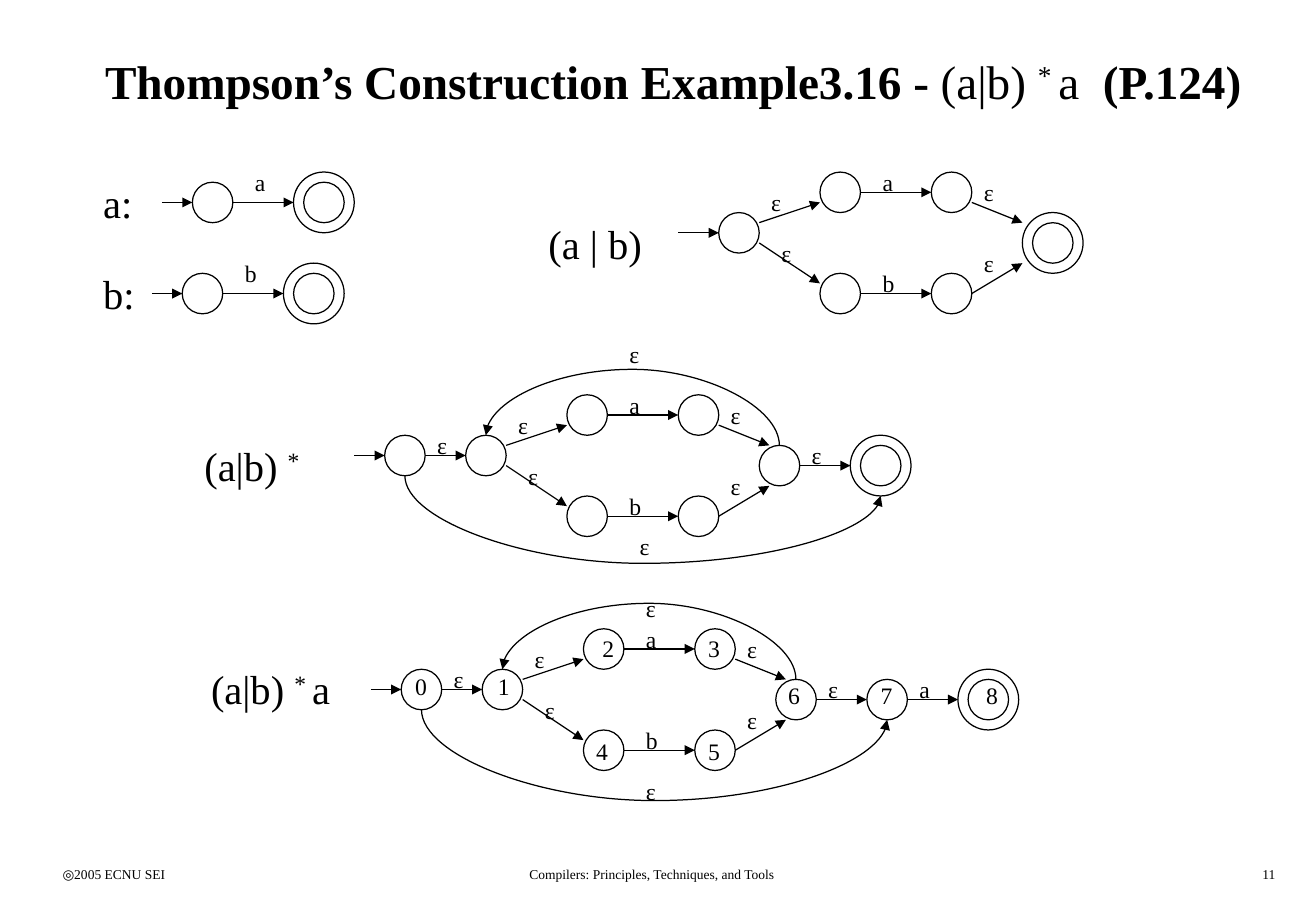
from dataclasses import dataclass

from lxml import etree
from pptx import Presentation
from pptx.dml.color import RGBColor
from pptx.enum.shapes import MSO_CONNECTOR, MSO_SHAPE
from pptx.enum.text import MSO_ANCHOR, PP_ALIGN
from pptx.oxml.ns import qn
from pptx.util import Pt

OVAL = MSO_SHAPE.OVAL
STRAIGHT, CURVE = MSO_CONNECTOR.STRAIGHT, MSO_CONNECTOR.CURVE
TOP, MIDDLE = MSO_ANCHOR.TOP, MSO_ANCHOR.MIDDLE
LEFT, CENTER, RIGHT = PP_ALIGN.LEFT, PP_ALIGN.CENTER, PP_ALIGN.RIGHT

STATE = 24        # diameter of a state
ACCEPT = 36       # outer diameter of an accepting state
SUPERSCRIPT = "30000"


@dataclass(frozen=True)
class Theme:
    font: str = "Times New Roman"
    ink: RGBColor = RGBColor(0, 0, 0)
    title_size: float = 28
    expression_size: float = 24
    label_size: float = 14
    footer_size: float = 8
    line_width: float = 0.75


class AutomatonSlide:
    def __init__(self, slide, theme):
        self.slide = slide
        self.theme = theme

    # Text: each run is (text, bold, superscript)
    def text(self, left, top, width, height, runs, size,
             align=LEFT, anchor=TOP, wrap=True):
        box = self.slide.shapes.add_textbox(Pt(left), Pt(top), Pt(width), Pt(height))
        frame = box.text_frame
        frame.word_wrap = wrap
        frame.vertical_anchor = anchor
        paragraph = frame.paragraphs[0]
        paragraph.alignment = align
        for content, bold, superscript in runs:
            run = paragraph.add_run()
            run.text = content
            font = run.font
            font.name, font.size, font.bold = self.theme.font, Pt(size), bold
            font.color.rgb = self.theme.ink
            if superscript:
                run._r.get_or_add_rPr().set("baseline", SUPERSCRIPT)

    def label(self, left, top, content):
        self.text(left, top, 21, 24, [(content, False, False)],
                  self.theme.label_size, wrap=False)

    def expression(self, left, top, width, *parts):
        runs = [(part, False, part.startswith("*")) for part in parts]
        self.text(left, top, width, 36, runs, self.theme.expression_size, wrap=False)

    # States
    def state(self, left, top, diameter=STATE):
        shape = self.slide.shapes.add_shape(
            OVAL, Pt(left), Pt(top), Pt(diameter), Pt(diameter))
        shape.shadow.inherit = False
        shape.fill.background()
        shape.line.color.rgb = self.theme.ink
        shape.line.width = Pt(self.theme.line_width)

    def accepting_state(self, left, top):
        inset = (ACCEPT - STATE) / 2
        self.state(left, top, ACCEPT)
        self.state(left + inset, top + inset)

    # Transitions
    def connector(self, kind, x1, y1, x2, y2):
        connector = self.slide.shapes.add_connector(kind, Pt(x1), Pt(y1), Pt(x2), Pt(y2))
        connector.line.color.rgb = self.theme.ink
        connector.line.width = Pt(self.theme.line_width)
        properties = connector.element.spPr
        etree.SubElement(properties.find(qn("a:ln")), qn("a:tailEnd"), type="triangle")
        etree.SubElement(properties, qn("a:effectLst"))
        return properties

    def arrow(self, x1, y1, x2, y2):
        self.connector(STRAIGHT, x1, y1, x2, y2)

    def arc(self, x1, y1, x2, y2, bend):
        """U-shaped arrow whose turning height is bend: a quarter-turned curve."""
        half_width, half_height = abs(y2 - y1) / 2, abs(x2 - x1) / 2
        middle_x, middle_y = (x1 + x2) / 2, (y1 + y2) / 2
        properties = self.connector(CURVE, middle_x - half_width, middle_y - half_height,
                                    middle_x + half_width, middle_y + half_height)
        transform = properties.find(qn("a:xfrm"))
        transform.set("rot", str((90 if x2 < x1 else 270) * 60000))
        transform.set("flipH", "1")
        adjustment = round((bend - y1) / (y2 - y1) * 100000)
        guides = properties.find(qn("a:prstGeom")).find(qn("a:avLst"))
        etree.SubElement(guides, qn("a:gd"), name="adj1", fmla=f"val {adjustment}")

    # Automata, placed by the corner of their first inner state
    def symbol(self, x, y, character):
        self.state(x, y)
        self.accepting_state(x + 60, y - 6)
        self.arrow(x - 18, y + 12, x, y + 12)
        self.arrow(x + 24, y + 12, x + 60, y + 12)
        self.label(x + 30, y - 12, character)

    def union(self, x, y):
        self.state(x, y)
        self.arrow(x - 24, y + 12, x, y + 12)
        for row, character in ((y - 24, "a"), (y + 36, "b")):
            self.state(x + 60, row)
            self.state(x + 126, row)
            self.arrow(x + 84, row + 12, x + 126, row + 12)
            self.label(x + 90, row - 6, character)
        for x1, y1, x2, y2 in ((24, 6, 60, -6), (24, 18, 60, 42),
                               (150, -6, 180, 6), (150, 48, 180, 30)):
            self.arrow(x + x1, y + y1, x + x2, y + y2)
        for dx, dy in ((24, -18), (30, 12), (150, -24), (150, 18)):
            self.label(x + dx, y + dy, "ε")

    def closure(self, x, y, top_label, bottom_label, skip_end, skip_bend):
        self.union(x, y)
        self.state(x - 48, y)
        self.state(x + 174, y + 6)
        self.arrow(x - 66, y + 12, x - 48, y + 12)
        self.arrow(x + 198, y + 18, x + 228, y + 18)
        for dx, dy in ((-24, -6), (198, 0), top_label, bottom_label):
            self.label(x + dx, y + dy, "ε")
        self.arc(x + 186, y + 6, x + 12, y, y - 39)
        self.arc(x - 36, y + 24, x + skip_end[0], y + skip_end[1], y + skip_bend)


def main():
    presentation = Presentation()
    presentation.slide_width, presentation.slide_height = Pt(780), Pt(540)
    slide = presentation.slides.add_slide(presentation.slide_layouts[6])
    theme = Theme()
    page = AutomatonSlide(slide, theme)

    # Title
    page.text(30, 12, 738, 72, [
        ("Thompson’s Construction Example3.16 - ", True, False),
        ("(a|b) ", False, False), ("* ", False, True),
        ("a ", False, False), (" (P.124)", True, False),
    ], theme.title_size, CENTER, MIDDLE)

    # Single symbols
    page.expression(54, 102, 32, "a:")
    page.symbol(114, 108, "a")
    page.expression(54, 156, 33, "b:")
    page.symbol(108, 162, "b")

    # Union
    page.expression(318, 126, 70, "(a | b)")
    page.union(426, 126)
    page.accepting_state(606, 126)

    # Closure
    page.expression(114, 258, 75.6, "(a|b) ", "*")
    page.closure(276, 258, (90, -60), (96, 54), (246, 36), 76)
    page.accepting_state(504, 258)

    # Closure followed by a
    x, y = 285.8, 396.7
    page.expression(118, 390.2, 90.7, "(a|b) ", "* ", "a")
    page.closure(x, y, (90, -48), (90, 60), (240, 30), 77.8)
    page.state(x + 228, y + 6)
    page.arrow(x + 252, y + 18, x + 282, y + 18)
    page.label(x + 252, y, "a")
    page.accepting_state(x + 282, y)
    number_offsets = ((-46.8, -2.2), (2.2, -2.2), (64.1, -24.5), (126.8, -24.5),
                      (60.5, 36.7), (126.8, 36.7), (174.3, 3.6), (229, 3.6), (291.6, 3.6))
    for number, (dx, dy) in enumerate(number_offsets):
        page.label(x + dx, y + dy, str(number))

    # Footer
    for left, width, content, align in (
            (30, 163, "◎2005 ECNU SEI", LEFT),
            (240.5, 292, "Compilers: Principles, Techniques, and Tools", CENTER),
            (600, 163, "11", RIGHT)):
        page.text(left, 510, width, 18, [(content, False, False)], theme.footer_size, align)

    presentation.save("out.pptx")


if __name__ == "__main__":
    main()
